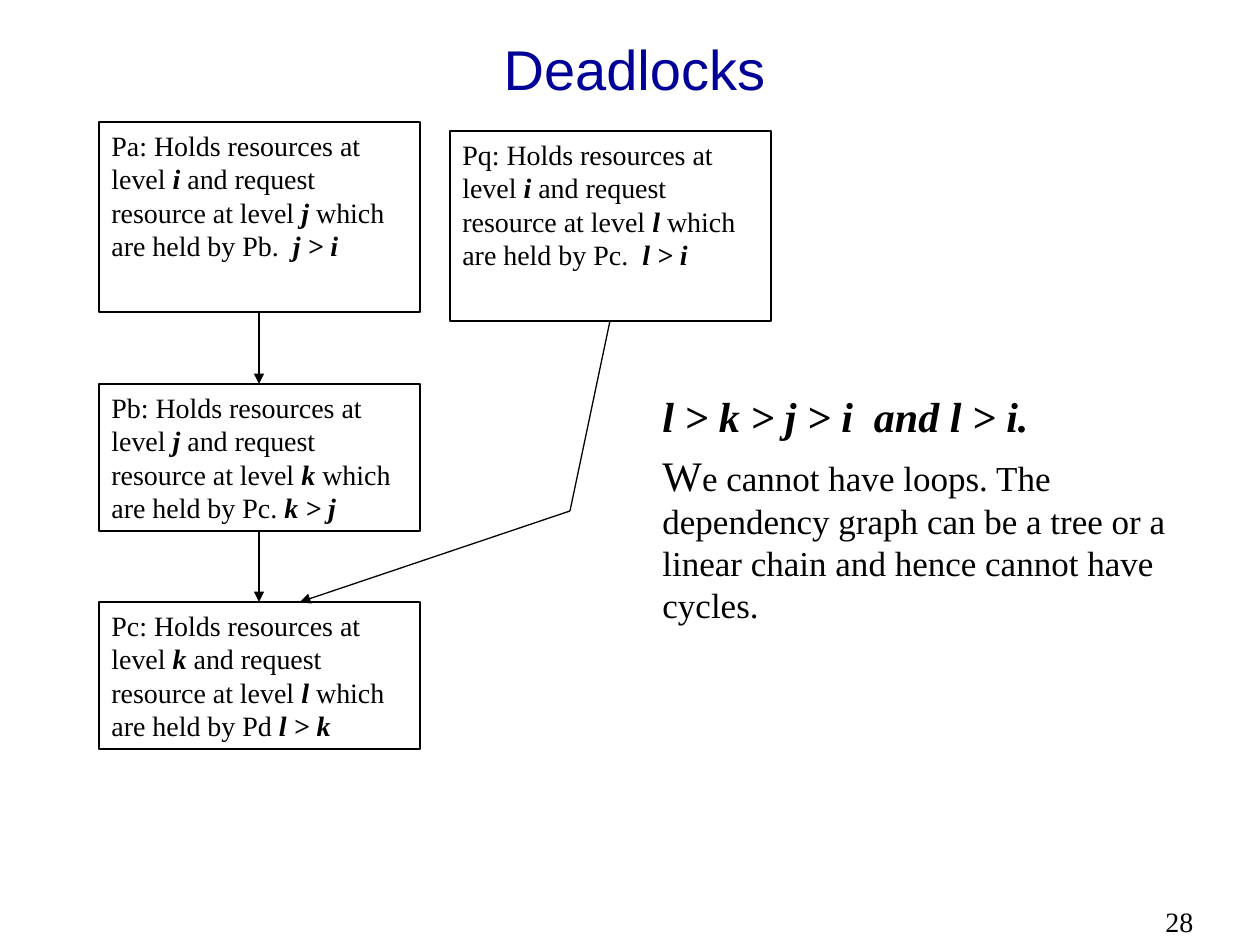
"""Build the slide showing why ordered resource levels prevent deadlocks."""
from dataclasses import dataclass

from lxml import etree
from pptx import Presentation
from pptx import util as u
from pptx.dml.color import RGBColor
from pptx.enum import shapes, text
from pptx.oxml.ns import qn

PX = 914400 / 126
SERIF, SANS = "Times New Roman", "Arial"
BLACK, NAVY = "000000", "000099"
BOX_WIDTH = 321


@dataclass
class Run:
    words: str
    size: int = 16
    strong: bool = False
    font: str = SERIF
    color: str = BLACK


@dataclass
class Process:
    name: str
    level: str
    wanted: str
    holder: str
    left: int
    top: int
    height: int

    @property
    def middle(self) -> int:
        return self.left + BOX_WIDTH // 2

    @property
    def bottom(self) -> int:
        return self.top + self.height

    def runs(self) -> list[Run]:
        return [
            Run(f"{self.name}: Holds resources at level "),
            Run(self.level, strong=True),
            Run(" and request resource at level "),
            Run(f"{self.wanted} ", strong=True),
            Run(f"which are held by {self.holder}"),
            Run(f"{self.wanted} > {self.level}", strong=True),
        ]


def px(n: int) -> int:
    return u.Emu(round(n * PX))


def rgb(value: str) -> RGBColor:
    return RGBColor.from_string(value)


def write(tf, paragraphs: list[list[Run]], align=text.PP_ALIGN.LEFT,
          anchor=text.MSO_ANCHOR.TOP, gap: int = 0) -> None:
    tf.word_wrap = True
    tf.auto_size = text.MSO_AUTO_SIZE.NONE
    tf.vertical_anchor = anchor
    for i, runs in enumerate(paragraphs):
        p = tf.add_paragraph() if i else tf.paragraphs[0]
        p.alignment = align
        p.space_before = u.Pt(gap if i else 0)
        for run in runs:
            r = p.add_run()
            r.text = run.words
            r.font.name = run.font
            r.font.size = u.Pt(run.size)
            r.font.bold = r.font.italic = run.strong
            r.font.color.rgb = rgb(run.color)


def add_text(s, box: tuple[int, int, int, int], paragraphs: list[list[Run]], gap: int = 0) -> None:
    write(s.shapes.add_textbox(*map(px, box)).text_frame, paragraphs, gap=gap)


def add_process(s, process: Process) -> None:
    box = (process.left, process.top, BOX_WIDTH, process.height)
    sp = s.shapes.add_shape(shapes.MSO_SHAPE.RECTANGLE, *map(px, box))
    sp.shadow.inherit = False
    sp.fill.background()
    sp.line.color.rgb = rgb(BLACK)
    sp.line.width = u.Pt(0.75)
    write(sp.text_frame, [process.runs()])


def add_line(s, start: tuple[int, int], end: tuple[int, int], arrow: bool = True) -> None:
    line = s.shapes.add_connector(shapes.MSO_CONNECTOR.STRAIGHT, *map(px, start + end))
    line.line.color.rgb = rgb(BLACK)
    line.line.width = u.Pt(0.75)
    if arrow:
        etree.SubElement(line.line._get_or_add_ln(), qn("a:tailEnd"), type="triangle")
    etree.SubElement(line._element.spPr, qn("a:effectLst"))


def main() -> None:
    prs = Presentation()
    prs.slide_width, prs.slide_height = u.Inches(10), u.Inches(7.5)
    s = prs.slides.add_slide(prs.slide_layouts[5])

    title = s.shapes.title
    title.left, title.top, title.width, title.height = map(px, (99, 25, 1071, 87))
    write(title.text_frame, [[Run("Deadlocks", 32, font=SANS, color=NAVY)]],
          text.PP_ALIGN.CENTER, text.MSO_ANCHOR.MIDDLE)

    chain = [
        Process("Pa", "i", "j", "Pb.  ", 99, 122, 190),
        Process("Pb", "j", "k", "Pc. ", 99, 384, 147),
        Process("Pc", "k", "l", "Pd ", 99, 602, 147),
    ]
    branch = Process("Pq", "i", "l", "Pc.  ", 450, 131, 190)
    for process in [*chain, branch]:
        add_process(s, process)
    for upper, lower in zip(chain, chain[1:]):
        add_line(s, (upper.middle, upper.bottom), (lower.middle, lower.top))

    bend = (570, 511)
    add_line(s, (branch.middle, branch.bottom), bend, arrow=False)
    add_line(s, bend, (300, chain[-1].top))

    add_text(s, (650, 384, 536, 451), [
        [Run("l > k > j > i  and l > i.", 24, strong=True)],
        [Run("W", 24),
         Run("e cannot have loops. The dependency graph can be a tree or a "
             "linear chain and hence cannot have cycles.", 20)],
    ], gap=5)
    add_text(s, (1153, 898, 107, 47), [[Run("28")]])
    prs.save("out.pptx")


if __name__ == "__main__":
    main()
